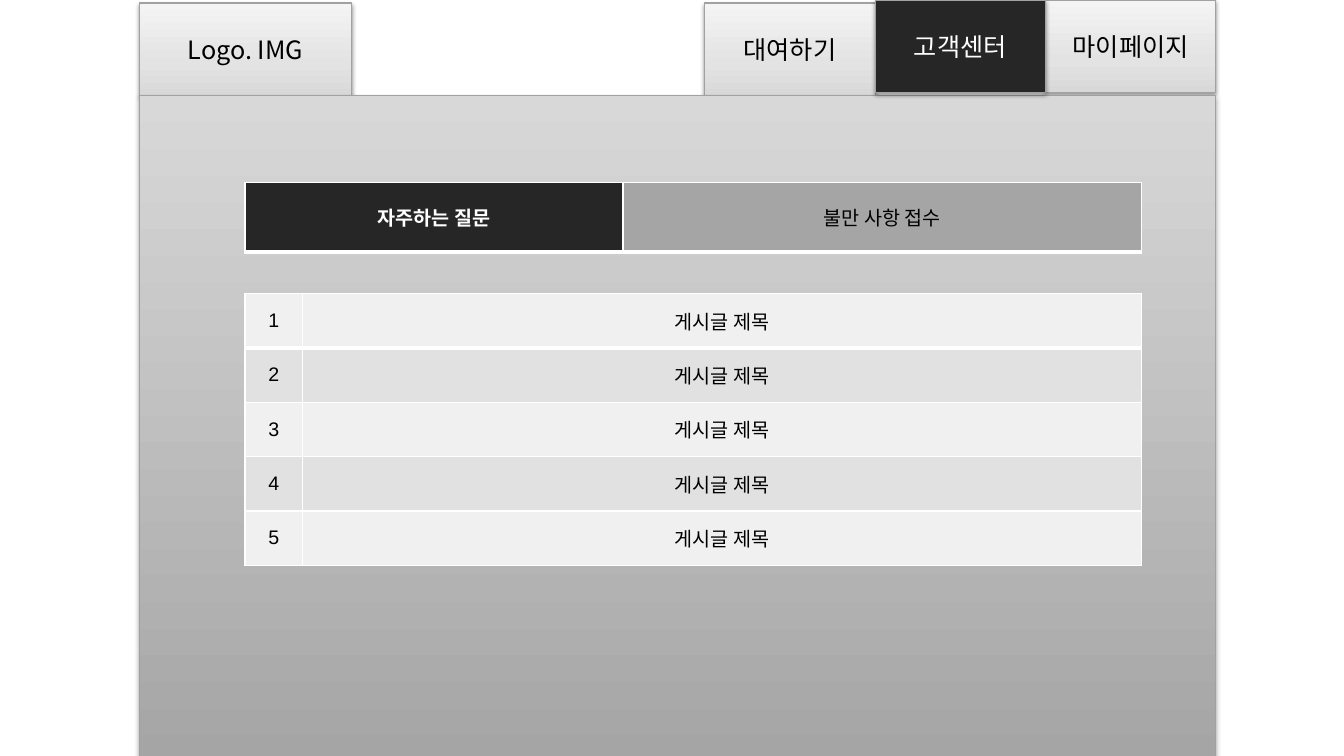
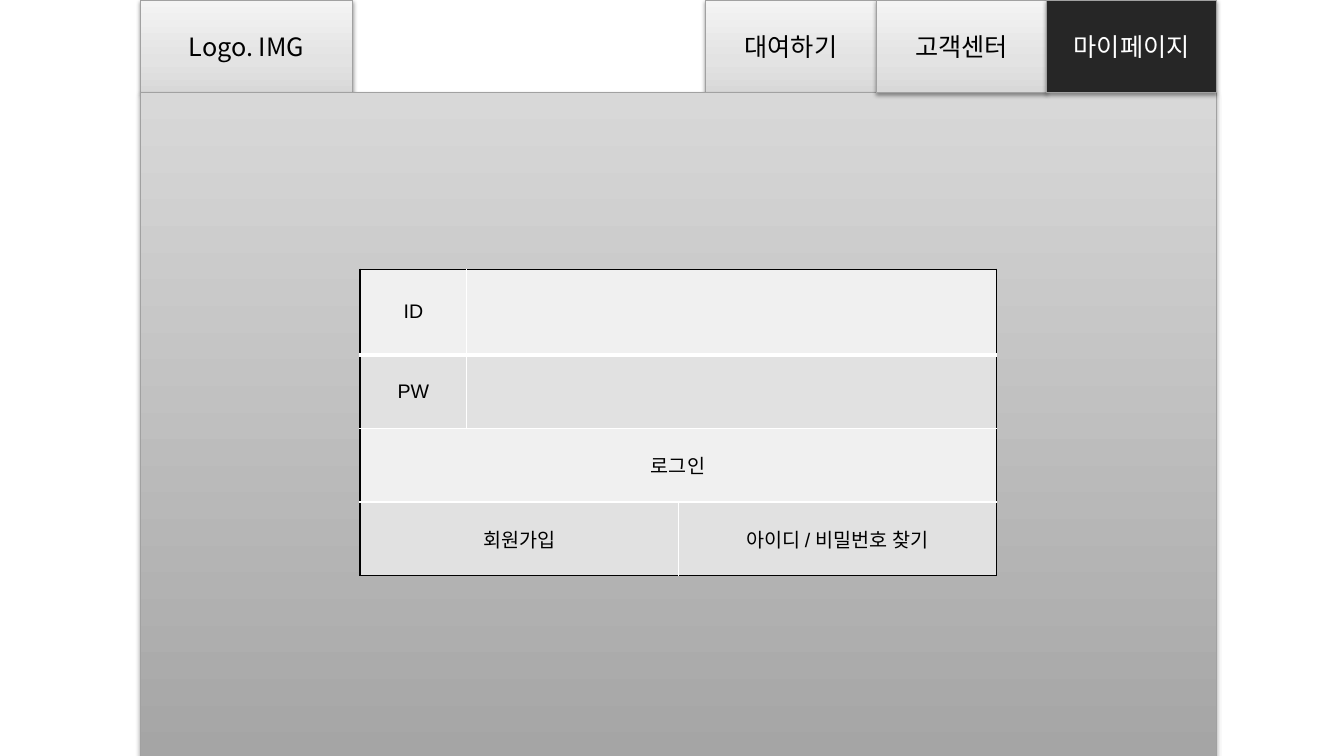
from lxml.etree import SubElement
from pptx import Presentation
from pptx.dml.color import RGBColor
from pptx.enum.shapes import MSO_SHAPE
from pptx.enum.text import MSO_ANCHOR, PP_ALIGN
from pptx.oxml.ns import qn
from pptx.util import Inches, Pt

HUES = {
    "white": "FFFFFF", "black": "000000", "dark": "262626",
    "line": "A1A1A1", "gray": "A5A5A5", "mid": "D8D8D8",
    "soft": "E3E3E3", "pale": "F4F4F4", "odd": "F0F0F0", "even": "E1E1E1",
}
KOREAN = "Noto Sans CJK KR"
TABS = ["대여하기", "고객센터", "마이페이지"]
TAB_WIDE, TAB_HIGH = 1.69, 0.92
LOGO_WIDE = 2.11
PAGE_WIDE, PAGE_HIGH = 10.68, 6.61
TAB_STOPS = [(0, "mid"), (35, "soft"), (100, "pale")]
PAGE_STOPS = [(0, "gray"), (100, "mid")]


def color(name):
    return RGBColor.from_string(HUES[name])


def add_node(parent, tag, **values):
    return SubElement(parent, qn(tag), {k: str(v) for k, v in values.items()})


def set_text(frame, text, size, ink, font=KOREAN, bold=False):
    frame.text = text
    for para in frame.paragraphs:
        para.alignment = PP_ALIGN.CENTER
        for run in para.runs:
            run.font.size = Pt(size)
            run.font.bold = bold
            run.font.name = font
            run.font.color.rgb = color(ink)
            add_node(run.font._element, "a:ea", typeface=KOREAN)


def fill_fade(shape, stops):
    shape.fill.gradient()
    shape.fill.gradient_angle = 90
    group = shape._element.spPr.find(qn("a:gradFill")).find(qn("a:gsLst"))
    for stop in list(group):
        group.remove(stop)
    for place, name in stops:
        stop = add_node(group, "a:gs", pos=place * 1000)
        add_node(stop, "a:srgbClr", val=HUES[name])


def add_shadow(shape, alpha, gap):
    shape.shadow.inherit = False
    effect = shape._element.spPr.find(qn("a:effectLst"))
    outer = add_node(effect, "a:outerShdw", blurRad=Pt(3.1), dist=Pt(gap),
                     dir=5400000, rotWithShape=0)
    tint = add_node(outer, "a:srgbClr", val=HUES["black"])
    add_node(tint, "a:alpha", val=alpha * 1000)


def add_box(slide, left, top, wide, high, stops=None, alpha=38, gap=1.6):
    box = slide.shapes.add_shape(MSO_SHAPE.RECTANGLE, Inches(left), Inches(top),
                                 Inches(wide), Inches(high))
    if stops:
        fill_fade(box, stops)
    else:
        box.fill.solid()
        box.fill.fore_color.rgb = color("dark")
    box.line.color.rgb = color("line")
    box.line.width = Pt(0.75)
    add_shadow(box, alpha, gap)
    return box


def add_tab(slide, left, top, wide, text, active=False):
    box = add_box(slide, left, top, wide, TAB_HIGH, None if active else TAB_STOPS)
    box.text_frame.vertical_anchor = MSO_ANCHOR.MIDDLE
    set_text(box.text_frame, text, 18, "white" if active else "black")


def add_menu(slide, left, drop, active, names):
    for name in names:
        index = TABS.index(name)
        spot = left + PAGE_WIDE - TAB_WIDE * (len(TABS) - index)
        add_tab(slide, spot, 0 if index else drop, TAB_WIDE, name, name == active)


def add_page(slide, left, drop, active, front):
    add_menu(slide, left, drop, active, [t for t in TABS if t not in front])
    add_tab(slide, left, drop, LOGO_WIDE, "Logo. IMG")
    add_box(slide, left, TAB_HIGH + drop, PAGE_WIDE, PAGE_HIGH, PAGE_STOPS, 35, 1.8)


def set_edges(cell, edges):
    props = cell._tc.get_or_add_tcPr()
    for index, (side, name, width) in enumerate(edges):
        line = add_node(props, "a:ln" + side, w=Pt(width))
        fill = add_node(line, "a:solidFill")
        add_node(fill, "a:srgbClr", val=HUES[name])
        props.insert(index, line)


def add_cell(table, row, col, text, span, shade, rim, font):
    rows, cols = len(table.rows), len(table.columns)
    last = col + span - 1
    if span > 1:
        table.cell(row, col).merge(table.cell(row, last))
    edges = [
        ("L", rim if col == 0 else "white", 1),
        ("R", rim if last == cols - 1 else "white", 1),
        ("T", rim if row == 0 else "white", 1),
        ("B", rim if row == rows - 1 else "white", 3 if row == 0 else 1),
    ]
    for spot in range(col, last + 1):
        cell = table.cell(row, spot)
        cell.fill.solid()
        cell.fill.fore_color.rgb = color(shade)
        cell.vertical_anchor = MSO_ANCHOR.MIDDLE
        skip = ("L" if spot > col else "") + ("R" if col < spot < last else "")
        set_edges(cell, [edge for edge in edges if edge[0] not in skip])
    if text:
        active = shade == "dark"
        set_text(table.cell(row, col).text_frame, text, 14,
                 "white" if active else "black", font, active)


def add_grid(slide, left, top, cols, highs, rows, shade, rim="white", font="Arial"):
    table = slide.shapes.add_table(len(highs), len(cols), Inches(left), Inches(top),
                                   Inches(sum(cols)), Inches(sum(highs))).table
    table.first_row = table.horz_banding = False
    for part, wide in zip(table.columns, cols):
        part.width = Inches(wide)
    for part, high in zip(table.rows, highs):
        part.height = Inches(high)
    for row, items in enumerate(rows):
        col = 0
        for text, span in items:
            add_cell(table, row, col, text, span, shade(row, col), rim, font)
            col += span


def band(row, col):
    return ("odd", "even")[row % 2]


def add_help(slide):
    left, drop, active = 1.38, 0.03, "고객센터"
    add_page(slide, left, drop, active, [active])
    heads = [[("자주하는 질문", 1), ("불만 사항 접수", 1)]]
    add_grid(slide, 2.43, 1.81, [3.75, 5.14], [0.69], heads,
             lambda row, col: ("dark", "gray")[col], font=KOREAN)
    add_menu(slide, left, drop, active, [active])
    posts = [[(str(n), 1), ("게시글 제목", 1)] for n in range(1, 6)]
    add_grid(slide, 2.43, 2.91, [0.57, 8.32], [0.54] * 5, posts, band)


def add_login(slide):
    left, drop, active = 1.39, 0, "마이페이지"
    front = ["고객센터", active]
    add_page(slide, left, drop, active, front)
    form = [
        [("ID", 1), ("", 2)],
        [("PW", 1), ("", 2)],
        [("로그인", 3)],
        [("회원가입", 2), ("아이디 / 비밀번호 찾기", 1)],
    ]
    add_grid(slide, 3.57, 2.67, [1.06, 2.1, 3.15], [0.85] + [0.73] * 3, form,
             band, "black")
    add_menu(slide, left, drop, active, front)


def main():
    deck = Presentation()
    deck.slide_width, deck.slide_height = Inches(13.33), Inches(7.5)
    for build in (add_help, add_login):
        build(deck.slides.add_slide(deck.slide_layouts[6]))
    deck.save("out.pptx")


main()
